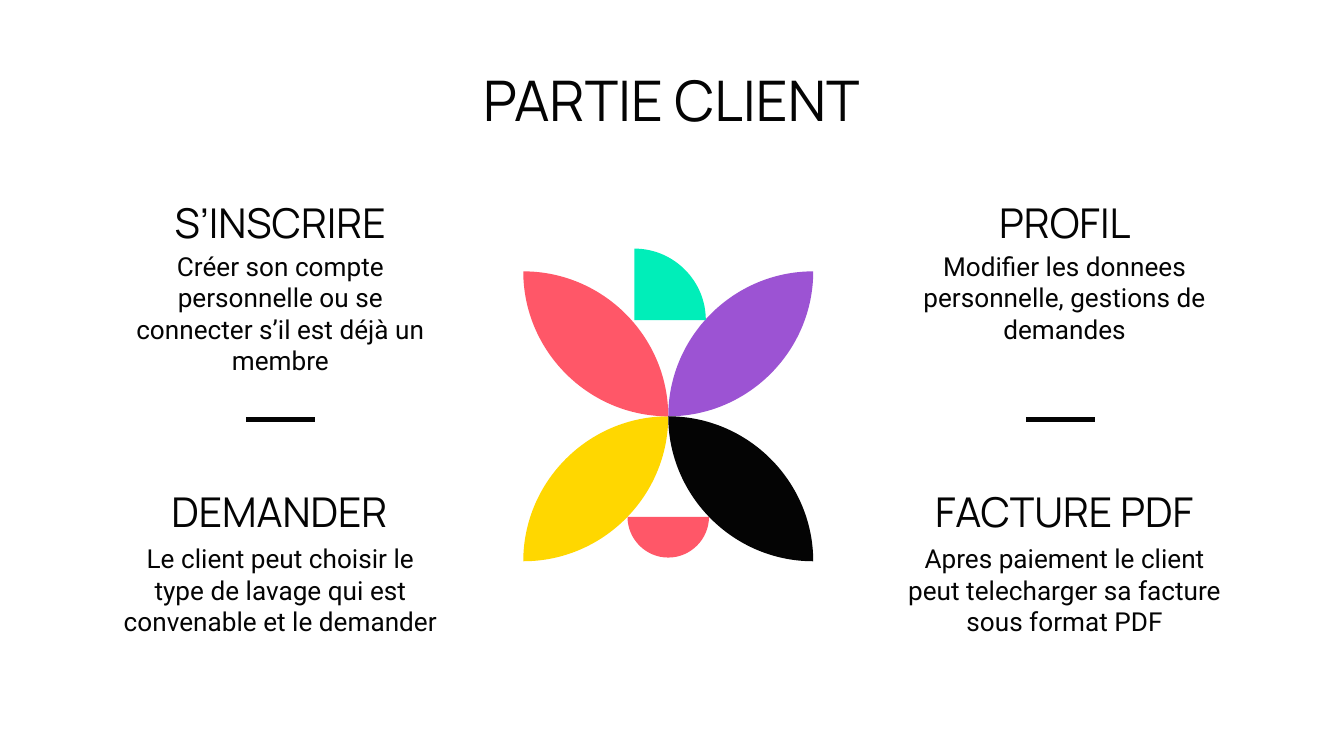
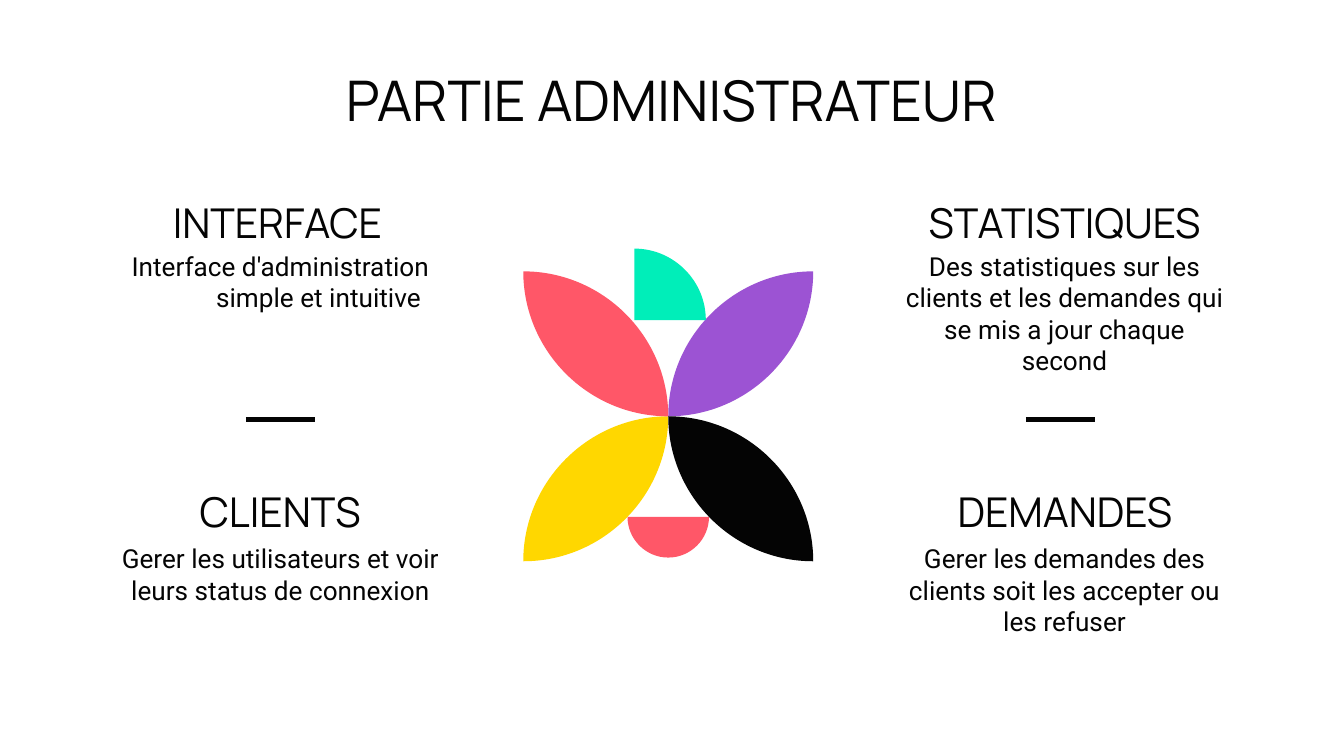
from dataclasses import dataclass

from lxml import etree
from pptx import Presentation
from pptx import util as u
from pptx.dml.color import RGBColor
from pptx.enum import shapes, text
from pptx.oxml import ns

Cm, Pt = u.Cm, u.Pt
ANC = text.MSO_ANCHOR


@dataclass(frozen=True)
class Theme:
    ink: str = "040404"
    red: str = "FF5768"
    gold: str = "FFD700"
    plum: str = "9C53D3"
    mint: str = "00EEB9"
    head: str = "Manrope"
    body: str = "Roboto"
    big: int = 30
    mid: int = 22
    small: int = 14


T = Theme()

# Content: title, then (heading, its left and width, text, left and first indent)
DECK = [
    ("PARTIE CLIENT", [
        ("S’INSCRIRE", (2.77, 5.05),
         "Créer son compte personnelle ou se connecter s’il est déjà un membre", (0, 0)),
        ("PROFIL", (17.6, 5.05),
         "Modifier les donnees personnelle, gestions de demandes", (0, 0)),
        ("DEMANDER", (2.79, 4.98),
         "Le client peut choisir le type de lavage qui est convenable et le demander",
         (0, 0)),
        ("FACTURE PDF", (17.12, 5.99),
         "Apres paiement le client peut telecharger sa facture sous format PDF", (0, 0)),
    ]),
    ("PARTIE ADMINISTRATEUR", [
        ("INTERFACE", (2.72, 5.05),
         "Interface d'administration simple et intuitive", (1.44, -1.86)),
        ("STATISTIQUES", (17.02, 6.2),
         "Des statistiques sur les clients et les demandes qui se mis a jour chaque second",
         (0, 0)),
        ("CLIENTS", (2.92, 4.75),
         "Gerer les utilisateurs et voir leurs status de connexion", (0, 0)),
        ("DEMANDES", (17.6, 5.05),
         "Gerer les demandes des clients soit les accepter ou les refuser", (0, 0)),
    ]),
]

# Grid in centimetres
COLS = (2, 16.82)                    # lefts of the texts
ROWS = ((3.31, 4.48), (8.77, 10.01)) # tops of heading and text
RULES = (5.3, 20.04)                 # centres of the short rules
MID = (12.63, 7.87)                  # heart of the flower

# Outlines in unit lengths: start, straight corners, then curves of three points
K = 0.55
LEAF = [(0, 0), (0, K), (1 - K, 1), (1, 1), (1, 1 - K), (K, 0), (0, 0)]
FAN = [(0, 1), (0, 0), (1, 0), (1, K), (K, 1), (0, 1)]
BOWL = [(-1, 0), (-1, K), (-K, 1), (0, 1), (K, 1), (1, K), (1, 0)]

# Outline, straight corners, offset from the heart, signed size, colour
PARTS = [
    (LEAF, 0, (0, 0), (2.74, -2.74), T.plum),
    (LEAF, 0, (0, 0), (-2.74, 2.74), T.gold),
    (LEAF, 0, (0, 0), (2.74, 2.74), T.ink),
    (LEAF, 0, (0, 0), (-2.74, -2.74), T.red),
    (FAN, 2, (-0.64, -1.82), (1.35, -1.35), T.mint),
    (BOWL, 0, (0, 1.9), (0.77, 0.77), T.red),
]


def put(shape, box, words, face, size, anchor=ANC.TOP, shift=(0, 0)):
    """Place a text shape and fill it with one centred paragraph."""
    shape.left, shape.top, shape.width, shape.height = map(Cm, box)
    frame = shape.text_frame
    frame.word_wrap = True
    frame.auto_size = text.MSO_AUTO_SIZE.NONE
    frame.vertical_anchor = anchor
    frame.margin_left = frame.margin_right = Cm(0.25)
    frame.margin_top = frame.margin_bottom = Cm(0.25)
    frame.text = words
    para = frame.paragraphs[0]
    para.alignment = text.PP_ALIGN.CENTER
    para.space_before = Pt(0)
    font = para.font
    font.name, font.size, font.bold = face, Pt(size), False
    font.color.rgb = RGBColor.from_string(T.ink)
    props = para._p.get_or_add_pPr()
    for key, value in zip(("marL", "indent"), shift):
        props.set(key, str(Cm(value)))
    bullet = etree.Element(ns.qn("a:buNone"))
    props.insert_element_before(bullet, "a:tabLst", "a:defRPr", "a:extLst")


def rule(slide, x):
    y = Cm(7.93)
    line = slide.shapes.add_connector(
        shapes.MSO_CONNECTOR.STRAIGHT, Cm(x - 0.65), y, Cm(x + 0.65), y)
    line.line.color.rgb = RGBColor.from_string(T.ink)
    line.line.width = Pt(3)
    etree.SubElement(line._element.spPr, ns.qn("a:effectLst"))


def bend(part, skip):
    """Turn the line segments after the first few into cubic curves."""
    legs = list(part._element.iter(ns.qn("a:lnTo")))[skip:]
    for i in range(0, len(legs), 3):
        curve = etree.Element(ns.qn("a:cubicBezTo"))
        legs[i].addprevious(curve)
        for leg in legs[i:i + 3]:
            curve.append(leg[0])
            leg.getparent().remove(leg)


def flower(slide):
    group = slide.shapes.add_group_shape()
    for outline, skip, (dx, dy), (w, h), color in PARTS:
        pts = [(Cm(MID[0] + dx + x * w), Cm(MID[1] + dy + y * h))
               for x, y in outline]
        pen = group.shapes.build_freeform(*pts[0])
        pen.add_line_segments(pts[1:], close=True)
        part = pen.convert_to_shape()
        bend(part, skip)
        part.shadow.inherit = False
        part.fill.solid()
        part.fill.fore_color.rgb = RGBColor.from_string(color)
        part.line.fill.background()


def build(deck, title, items):
    slide = deck.slides.add_slide(deck.slide_layouts[4])
    put(slide.shapes.title, (3.76, 0.99, 17.86, 1.78), title, T.head, T.big)
    # Headings and texts on a two by two grid
    for i, (head, (left, width), body, shift) in enumerate(items):
        top, low = ROWS[i // 2]
        put(slide.placeholders[i + 1], (COLS[i % 2], low, 6.6, 2.44),
            body, T.body, T.small, shift=shift)
        box = slide.shapes.add_textbox(0, 0, 0, 0)
        put(box, (left, top, width, 1.6), head, T.head, T.mid, ANC.BOTTOM)
    # Rules and flower
    for x in RULES:
        rule(slide, x)
    flower(slide)


def main():
    deck = Presentation()
    deck.slide_width, deck.slide_height = Cm(25.4), Cm(14.29)
    for title, items in DECK:
        build(deck, title, items)
    deck.save("out.pptx")


if __name__ == "__main__":
    main()
